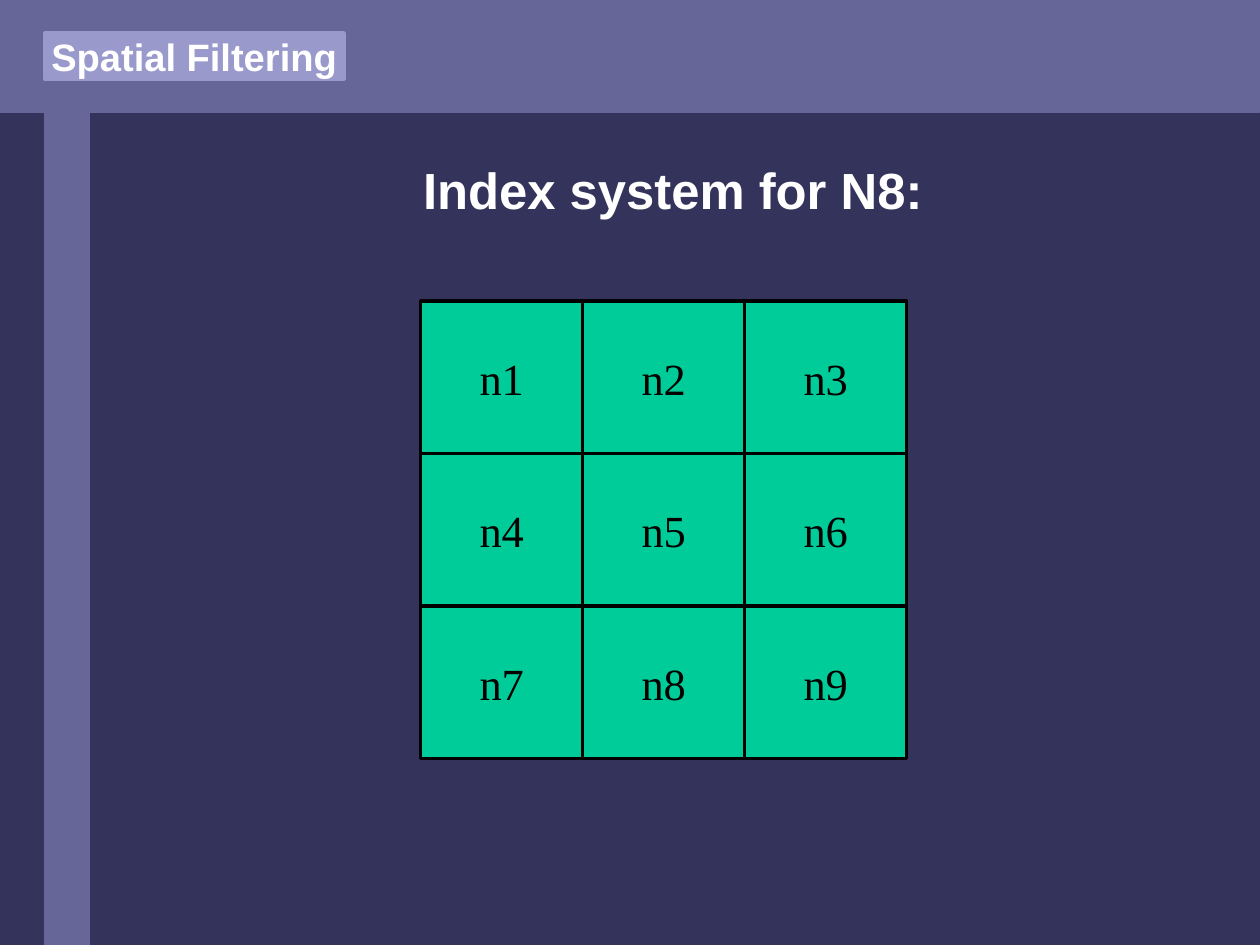
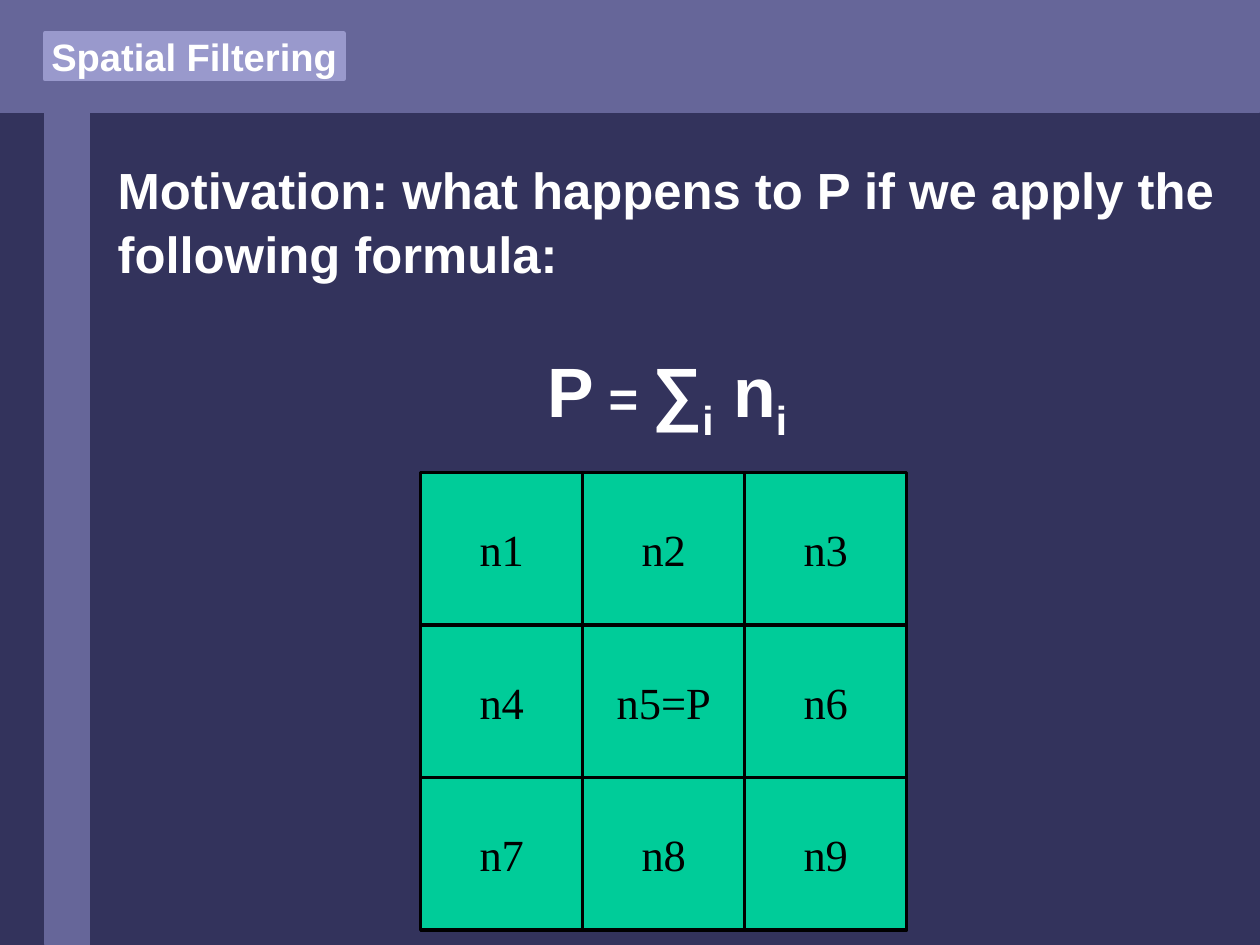
import pptx
import pptx.dml.color
import pptx.enum.shapes
import pptx.enum.text
import pptx.oxml
import pptx.oxml.ns
import pptx.util
from dataclasses import dataclass

Cm = pptx.util.Cm
Pt = pptx.util.Pt
PP_ALIGN = pptx.enum.text.PP_ALIGN
MSO_ANCHOR = pptx.enum.text.MSO_ANCHOR
RECTANGLE = pptx.enum.shapes.MSO_SHAPE.RECTANGLE

BACKGROUND = "33335C"
BAND = "666699"
TAG = "9999CC"
CELL = "00CC99"
WHITE = "FFFFFF"
BLACK = "000000"

SLIDE_WIDTH, SLIDE_HEIGHT = 28, 21
GRID_LEFT, CELL_WIDTH, CELL_HEIGHT, COLUMNS = 9.35, 3.6, 3.39, 3


@dataclass(frozen=True)
class Box:
    left: float
    top: float
    width: float
    height: float


@dataclass(frozen=True)
class Term:
    text: str
    size: int = 44
    subscript: bool = False


@dataclass(frozen=True)
class Page:
    heading: str
    heading_align: PP_ALIGN
    heading_height: float
    grid_top: float
    labels: tuple[str, ...]
    formula: tuple[Term, ...] = ()


BANDS = (Box(0, 0, SLIDE_WIDTH, 2.49), Box(1, 1.95, 1, 19.05))
TITLE = Box(1, 0.74, 6.63, 1.02)

PAGES = (
    Page("Index system for N8:", PP_ALIGN.CENTER, 1.78, 6.69,
         ("n1", "n2", "n3", "n4", "n5", "n6", "n7", "n8", "n9")),
    Page("Motivation: what happens to P if we apply the following formula:",
         PP_ALIGN.LEFT, 6.4, 10.5,
         ("n1", "n2", "n3", "n4", "n5=P", "n6", "n7", "n8", "n9"),
         (Term("P"), Term(" = ", 32), Term("∑"), Term("i", subscript=True),
          Term(" n"), Term("i ", subscript=True))),
)


def rgb(color: str) -> pptx.dml.color.RGBColor:
    return pptx.dml.color.RGBColor.from_string(color)


def place(shape, box: Box) -> None:
    shape.left, shape.top = Cm(box.left), Cm(box.top)
    shape.width, shape.height = Cm(box.width), Cm(box.height)


def paint(shape, fill: str, line: str, line_width: float) -> None:
    shape.fill.solid()
    shape.fill.fore_color.rgb = rgb(fill)
    shape.line.color.rgb = rgb(line)
    shape.line.width = Pt(line_width)


def add_rectangle(slide, box: Box, fill: str, line: str, line_width: float):
    rectangle = slide.shapes.add_shape(
        RECTANGLE, Cm(box.left), Cm(box.top), Cm(box.width), Cm(box.height))
    rectangle.shadow.inherit = False
    paint(rectangle, fill, line, line_width)
    return rectangle


def style(paragraph, name: str, size: int, color: str, bold: bool, align: PP_ALIGN) -> None:
    paragraph.alignment = align
    font = paragraph.font
    font.name, font.size, font.bold = name, Pt(size), bold
    font.color.rgb = rgb(color)


def style_statement(paragraph, size: int, align: PP_ALIGN, space_before: float = 0) -> None:
    properties = paragraph._p.get_or_add_pPr()
    properties.set("marL", "0")
    properties.set("indent", "0")
    paragraph.line_spacing = 1.04
    paragraph.space_before = Pt(space_before)
    properties.append(pptx.oxml.parse_xml(
        f'<a:buNone {pptx.oxml.ns.nsdecls("a")}/>'))
    style(paragraph, "Arial", size, WHITE, True, align)


def add_bands(presentation, layout, slide) -> None:
    background = presentation.slide_master.background.fill
    background.solid()
    background.fore_color.rgb = rgb(BACKGROUND)
    for position, box in enumerate(BANDS):
        band = add_rectangle(slide, box, BAND, BAND, 0.75)
        layout.shapes._spTree.insert(2 + position, band._element)


def add_title(slide) -> None:
    title = slide.shapes.title
    place(title, TITLE)
    paint(title, TAG, TAG, 2.83)
    frame = title.text_frame
    frame.text = "Spatial Filtering"
    frame.margin_left = frame.margin_right = frame.margin_top = frame.margin_bottom = 0
    frame.vertical_anchor = MSO_ANCHOR.MIDDLE
    frame.auto_size = pptx.enum.text.MSO_AUTO_SIZE.NONE
    style(frame.paragraphs[0], "Arial", 24, WHITE, True, PP_ALIGN.CENTER)


def add_statement(slide, page: Page) -> None:
    statement = slide.placeholders[1]
    place(statement, Box(2.36, 3.35, 25.2, page.heading_height))
    frame = statement.text_frame
    frame.text = page.heading
    frame.vertical_anchor = MSO_ANCHOR.TOP
    frame.auto_size = pptx.enum.text.MSO_AUTO_SIZE.NONE
    style_statement(frame.paragraphs[0], 32, page.heading_align)
    if page.formula:
        formula = frame.add_paragraph()
        style_statement(formula, 44, PP_ALIGN.CENTER, space_before=38.4)
        for term in page.formula:
            run = formula.add_run()
            run.text = term.text
            run.font.size = Pt(term.size)
            if term.subscript:
                run._r.get_or_add_rPr().set("baseline", "-25000")


def add_grid(slide, page: Page) -> None:
    for index, label in enumerate(page.labels):
        row, column = divmod(index, COLUMNS)
        box = Box(GRID_LEFT + column * CELL_WIDTH, page.grid_top + row * CELL_HEIGHT,
                  CELL_WIDTH, CELL_HEIGHT)
        neighbour = add_rectangle(slide, box, CELL, BLACK, 2.25)
        frame = neighbour.text_frame
        frame.text = label
        frame.word_wrap = False
        frame.vertical_anchor = MSO_ANCHOR.MIDDLE
        style(frame.paragraphs[0], "Times New Roman", 28, BLACK, False, PP_ALIGN.CENTER)


def main() -> None:
    presentation = pptx.Presentation()
    presentation.slide_width, presentation.slide_height = Cm(SLIDE_WIDTH), Cm(SLIDE_HEIGHT)
    layout = presentation.slide_layouts[1]
    slides = [presentation.slides.add_slide(layout) for _ in PAGES]
    add_bands(presentation, layout, slides[0])
    for slide, page in zip(slides, PAGES):
        add_title(slide)
        add_statement(slide, page)
        add_grid(slide, page)
    presentation.save("out.pptx")


if __name__ == "__main__":
    main()
